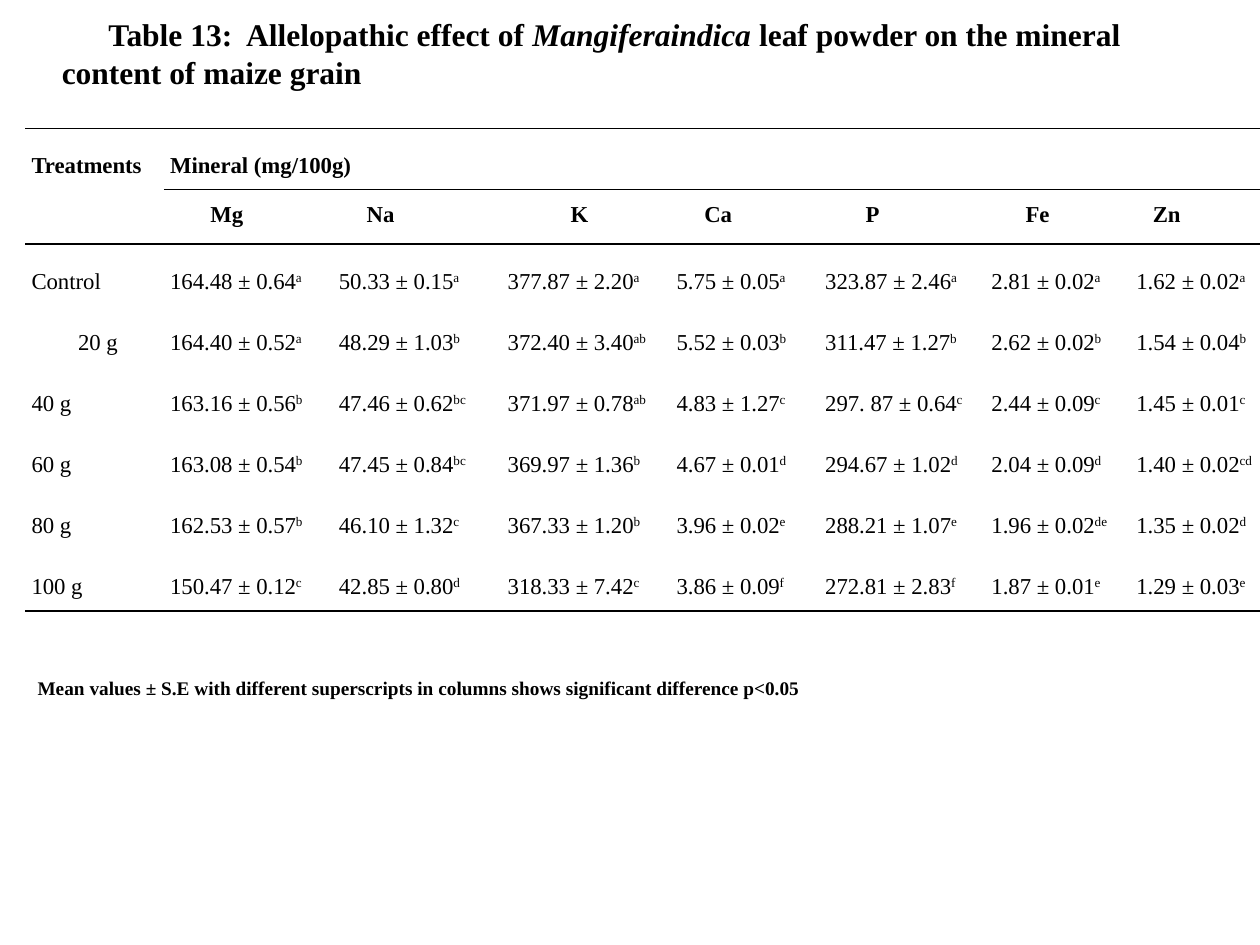
from pptx import Presentation
from pptx.util import Inches, Pt
from pptx.dml.color import RGBColor
from pptx.enum.text import MSO_ANCHOR, MSO_AUTO_SIZE, PP_ALIGN
from pptx.oxml.ns import qn
from lxml.etree import SubElement

COLORS = {"ink": "000000"}
FONT = "Times New Roman"

COL_WIDTHS = [1.1, 1.34, 1.34, 1.34, 1.18, 1.32, 1.15, 1.03]
# Mineral name and its indent in the column
MINERALS = [("Mg", 0.32), ("Na", 0.22), ("K", 0.5), ("Ca", 0.22),
            ("P", 0.32), ("Fe", 0.27), ("Zn", 0.13)]
# Each value is followed by its superscript after "^"
DATA = [
    ["Control", "164.48 ± 0.64^a", "50.33 ± 0.15^a", "377.87 ± 2.20^a",
     "5.75 ± 0.05^a", "323.87 ± 2.46^a", "2.81 ± 0.02^a", "1.62 ± 0.02^a"],
    ["20 g", "164.40 ± 0.52^a", "48.29 ± 1.03^b", "372.40 ± 3.40^ab",
     "5.52 ± 0.03^b", "311.47 ± 1.27^b", "2.62 ± 0.02^b", "1.54 ± 0.04^b"],
    ["40 g", "163.16 ± 0.56^b", "47.46 ± 0.62^bc", "371.97 ± 0.78^ab",
     "4.83 ± 1.27^c", "297. 87 ± 0.64^c", "2.44 ± 0.09^c", "1.45 ± 0.01^c"],
    ["60 g", "163.08 ± 0.54^b", "47.45 ± 0.84^bc", "369.97 ± 1.36^b",
     "4.67 ± 0.01^d", "294.67 ± 1.02^d", "2.04 ± 0.09^d", "1.40 ± 0.02^cd"],
    ["80 g", "162.53 ± 0.57^b", "46.10 ± 1.32^c", "367.33 ± 1.20^b",
     "3.96 ± 0.02^e", "288.21 ± 1.07^e", "1.96 ± 0.02^de", "1.35 ± 0.02^d"],
    ["100 g", "150.47 ± 0.12^c", "42.85 ± 0.80^d", "318.33 ± 7.42^c",
     "3.86 ± 0.09^f", "272.81 ± 2.83^f", "1.87 ± 0.01^e", "1.29 ± 0.03^e"],
]


def add_run(p, text, size, bold=False, italic=False, superscript=False):
    r = p.add_run()
    r.text = text
    r.font.name = FONT
    r.font.size = Pt(size)
    r.font.bold = bold
    r.font.italic = italic
    r.font.color.rgb = RGBColor.from_string(COLORS["ink"])
    if superscript:
        r._r.get_or_add_rPr().set("baseline", "30000")


def set_borders(cell, ruled):
    tc_pr = cell._tc.get_or_add_tcPr()
    for side in ("L", "R", "T", "B"):
        ln = SubElement(tc_pr, qn(f"a:ln{side}"), w=str(Pt(1)))
        if side in ruled:
            fill = SubElement(ln, qn("a:solidFill"))
            SubElement(fill, qn("a:srgbClr"), val=COLORS["ink"])
        else:
            SubElement(ln, qn("a:noFill"))


prs = Presentation()
prs.slide_width, prs.slide_height = Inches(10), Inches(7.5)
s = prs.slides.add_slide(prs.slide_layouts[5])

# Title
title = s.shapes.title
title.left, title.top = Inches(0.39), Inches(-0.05)
title.width, title.height = Inches(8.98), Inches(1.05)
tf = title.text_frame
tf.word_wrap = True
tf.auto_size = MSO_AUTO_SIZE.NONE
tf.vertical_anchor = MSO_ANCHOR.TOP
tf.margin_top, tf.margin_bottom = Inches(0.17), 0
p = tf.paragraphs[0]
p.alignment = PP_ALIGN.LEFT
p._p.get_or_add_pPr().set("indent", str(Inches(0.37)))
add_run(p, "Table 13:  Allelopathic effect of ", 18, bold=True)
add_run(p, "Mangiferaindica ", 18, bold=True, italic=True)
add_run(p, "leaf powder on the mineral content of maize grain", 18, bold=True)

# Table grid
rows, cols = len(DATA) + 2, len(COL_WIDTHS)
table = s.shapes.add_table(rows, cols, Inches(0.2), Inches(1.02),
                           Inches(9.8), Inches(3.83)).table
table.first_row = table.horz_banding = False
for column, width in zip(table.columns, COL_WIDTHS):
    column.width = Inches(width)
for row in table.rows:
    row.height = Inches(3.4 / 7)
table.rows[1].height = Inches(0.43)
table.cell(0, 0).merge(table.cell(1, 0))
table.cell(0, 1).merge(table.cell(0, cols - 1))

# Table contents: two header rows, then one row per treatment
contents = [["Treatments", "Mineral (mg/100g)"] + [""] * (cols - 2),
            [""] + [name for name, _ in MINERALS]] + DATA
for i, values in enumerate(contents):
    for j, value in enumerate(values):
        cell = table.cell(i, j)
        ruled = ("T" if i < 3 else "") + ("B" if i in (0, 1, rows - 1) else "")
        if j == 0 and i < 2:
            ruled = "TB"[i]
        set_borders(cell, ruled)
        cell.fill.background()
        cell.margin_left = cell.margin_right = Inches(0.05)
        cell.margin_top = cell.margin_bottom = 0
        if not value:
            continue
        p = cell.text_frame.paragraphs[0]
        p.alignment = PP_ALIGN.JUSTIFY
        p.line_spacing = 1.5 if i == 1 else 2.0
        indent = MINERALS[j - 1][1] if i == 1 else 0.37 if value == "20 g" else 0
        p._p.get_or_add_pPr().set("indent", str(Inches(indent)))
        text, _, mark = value.partition("^")
        add_run(p, text, 13, bold=i < 2)
        if mark:
            add_run(p, mark, 13, superscript=True)

# Footnote
note = s.shapes.add_textbox(Inches(0.2), Inches(5.32), Inches(8.9), Inches(0.29))
note.text_frame.word_wrap = True
add_run(note.text_frame.paragraphs[0],
        "Mean values ± S.E with different superscripts in columns shows "
        "significant difference p<0.05", 11, bold=True)

prs.save("out.pptx")
